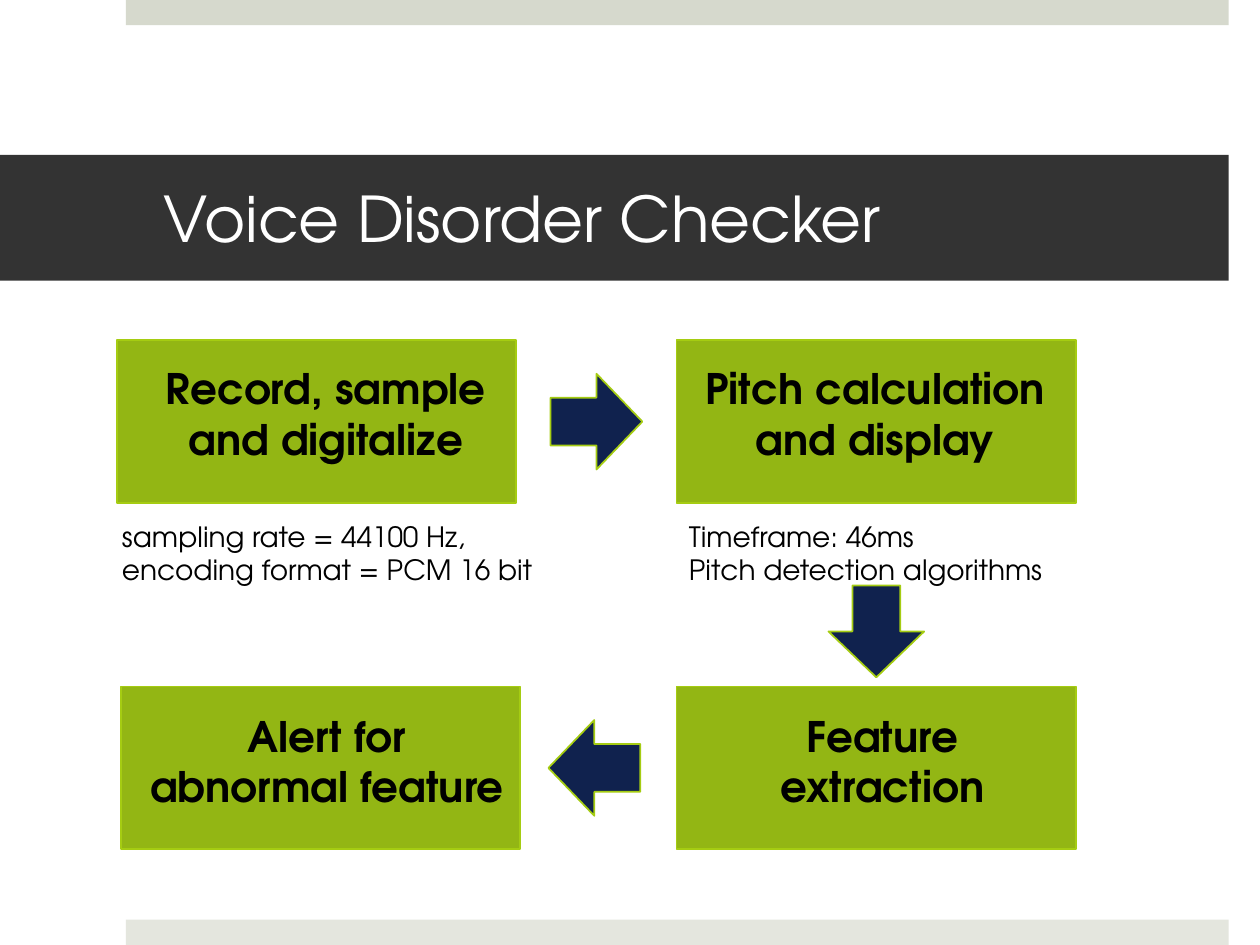
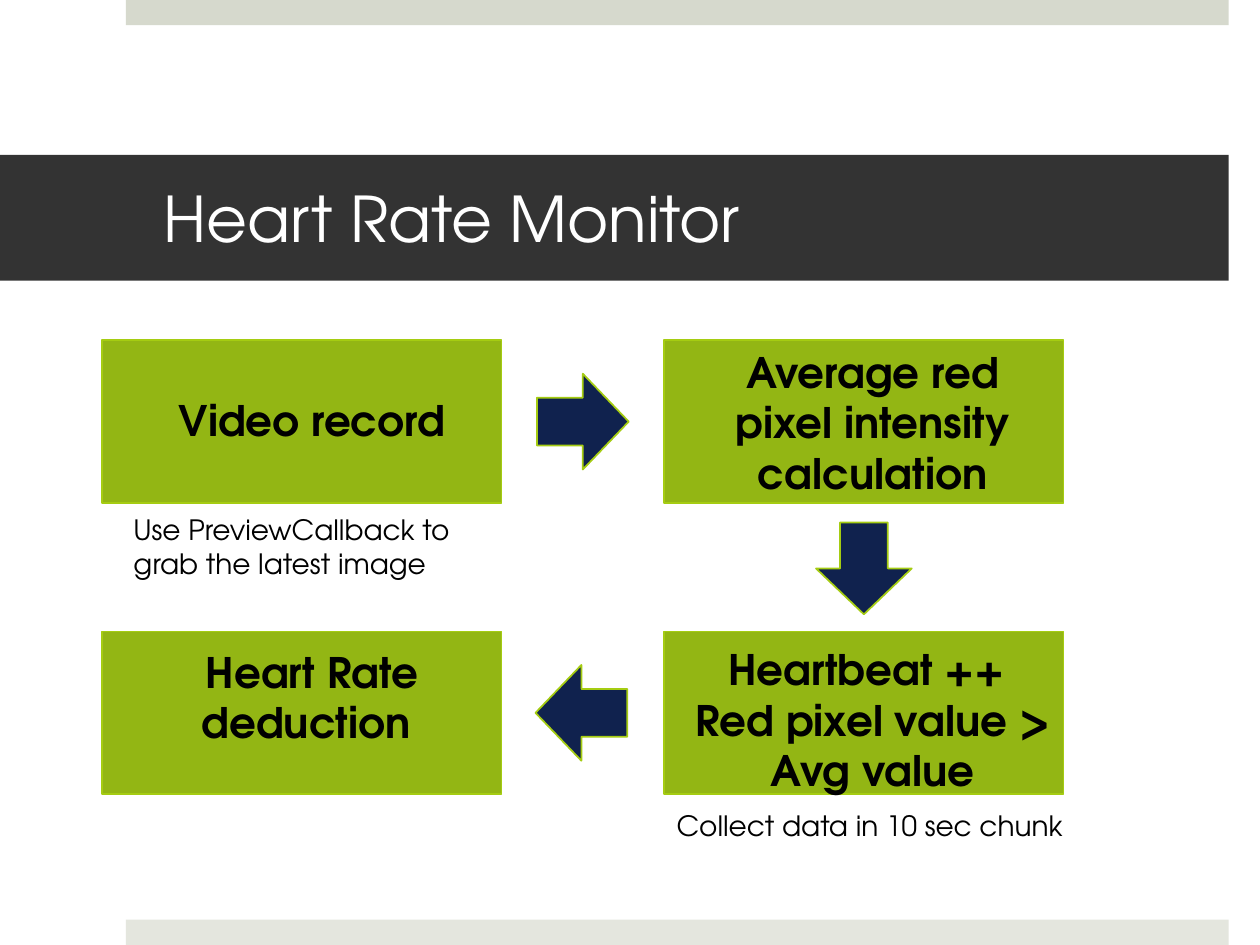
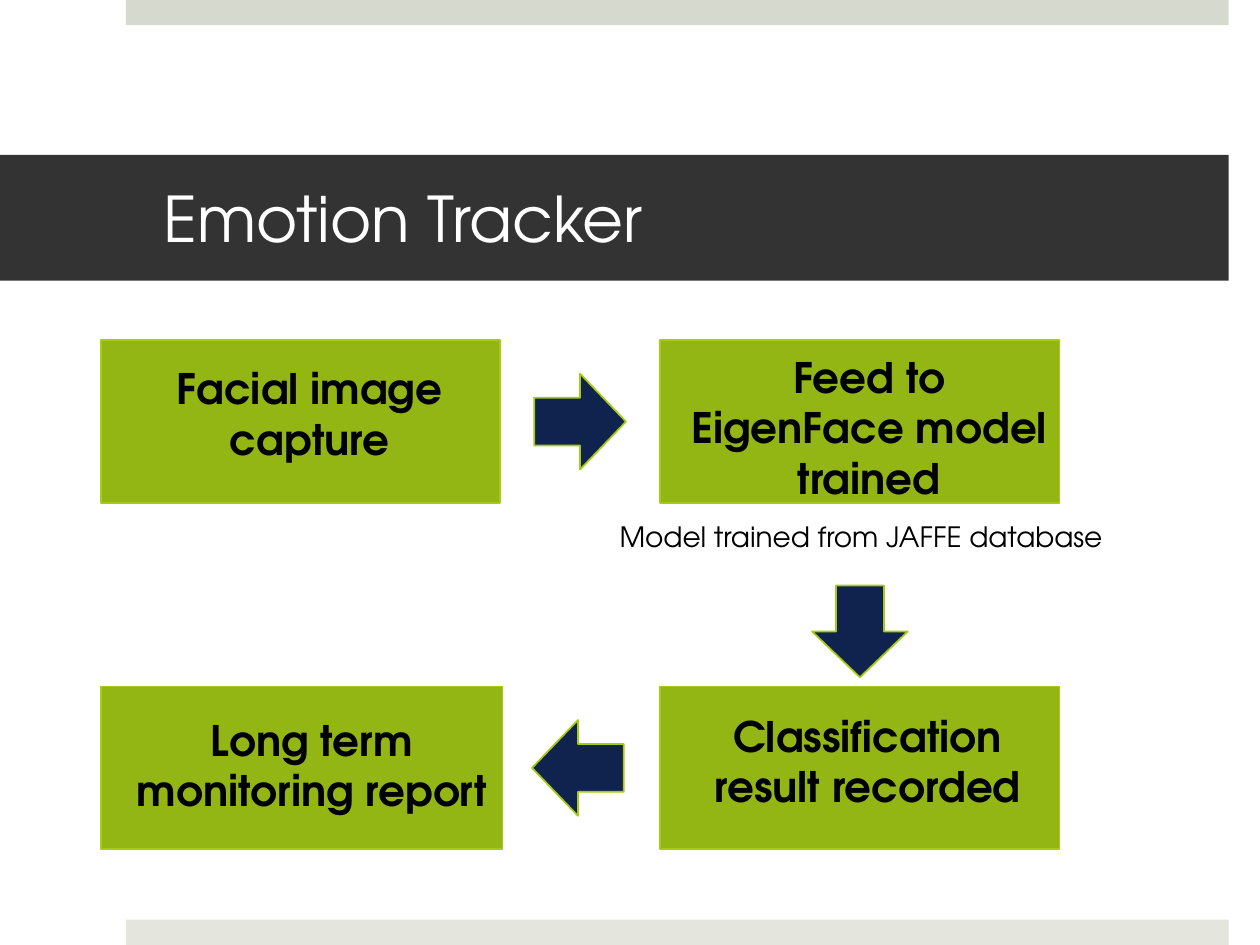
from dataclasses import dataclass

from pptx import Presentation
from pptx.dml.color import RGBColor
from pptx.enum.shapes import MSO_SHAPE
from pptx.enum.text import MSO_ANCHOR, MSO_AUTO_SIZE, PP_ALIGN
from pptx.util import Cm, Pt


@dataclass(frozen=True)
class Theme:
    font: str = "TeX Gyre Adventor"
    title_size: int = 36
    step_size: int = 24
    note_size: int = 16
    text: str = "000000"
    title_text: str = "FFFFFF"
    title_band: str = "333333"
    top_band: str = "D6D9CD"
    bottom_band: str = "E4E6DE"
    step: str = "93B614"
    outline: str = "A5CC12"
    arrow: str = "10224E"


# Shared measures, in centimetres
STEP_WIDTH, STEP_HEIGHT = 8.05, 3.28
ARROW_WIDTH, ARROW_HEIGHT = 1.85, 1.93
TOP_ROW = 6.86
LABEL_WIDTH = 7.7


@dataclass(frozen=True)
class Label:
    left: float
    top: float
    paragraphs: tuple
    lines: int = 2
    width: float = LABEL_WIDTH


@dataclass(frozen=True)
class Flow:
    title: str
    columns: tuple  # left edges of the two step columns
    bottom_row: float
    down_center: float  # vertical centre of the downward arrow
    back_center: float  # horizontal centre of the arrow pointing back
    labels: tuple
    notes: tuple
    last_left: float
    last_width: float = STEP_WIDTH


class Deck:
    def __init__(self, theme):
        self.theme = theme
        self.presentation = Presentation()
        self.presentation.slide_width = Cm(25.4)
        self.presentation.slide_height = Cm(19.05)
        self.layout = self.presentation.slide_layouts[5]
        self.slide = None

    def new_slide(self, title):
        first = self.slide is None
        self.slide = self.presentation.slides.add_slide(self.layout)
        if first:
            self.layout_bands()
        self.title(title)

    def layout_bands(self):
        """Place the edge bands on the layout, so every slide shows them."""
        tree = self.layout.element.cSld.spTree
        for top, color in ((0, self.theme.top_band), (18.54, self.theme.bottom_band)):
            band = self.shape(MSO_SHAPE.RECTANGLE, 2.54, top, 22.23, 0.51, color)
            tree.insert(2, band.element)

    def title(self, text):
        title = self.slide.shapes.title
        title.left, title.top = Cm(0), Cm(3.12)
        title.width, title.height = Cm(24.77), Cm(2.54)
        title.fill.solid()
        title.fill.fore_color.rgb = RGBColor.from_string(self.theme.title_band)
        frame = title.text_frame
        frame.auto_size = MSO_AUTO_SIZE.NONE
        frame.word_wrap = True
        frame.vertical_anchor = MSO_ANCHOR.MIDDLE
        frame.margin_left, frame.margin_right = Cm(3.3), Cm(0.76)
        frame.margin_top = frame.margin_bottom = Cm(0.13)
        self.add_paragraphs(frame, (text,), self.theme.title_size,
                            self.theme.title_text, PP_ALIGN.LEFT)

    def add_paragraphs(self, frame, paragraphs, size, color, align, bold=False):
        for number, text in enumerate(paragraphs):
            paragraph = frame.add_paragraph() if number else frame.paragraphs[0]
            paragraph.alignment = align
            run = paragraph.add_run()
            run.text = text
            run.font.name = self.theme.font
            run.font.size = Pt(size)
            run.font.bold = bold
            run.font.color.rgb = RGBColor.from_string(color)

    def shape(self, kind, left, top, width, height, color, outline=None):
        shape = self.slide.shapes.add_shape(
            kind, Cm(left), Cm(top), Cm(width), Cm(height))
        shape.shadow.inherit = False
        shape.fill.solid()
        shape.fill.fore_color.rgb = RGBColor.from_string(color)
        if outline:
            shape.line.color.rgb = RGBColor.from_string(outline)
            shape.line.width = Pt(1)
        else:
            shape.line.fill.background()
        return shape

    def step(self, left, top, width=STEP_WIDTH):
        self.shape(MSO_SHAPE.RECTANGLE, left, top, width, STEP_HEIGHT,
                   self.theme.step, self.theme.outline)

    def arrow(self, center_x, center_y, rotation=0):
        arrow = self.shape(
            MSO_SHAPE.RIGHT_ARROW, center_x - ARROW_WIDTH / 2,
            center_y - ARROW_HEIGHT / 2, ARROW_WIDTH, ARROW_HEIGHT,
            self.theme.arrow, self.theme.outline)
        arrow.rotation = rotation

    def text(self, label, size, line_height, align, bold):
        height = 0.25 + line_height * label.lines
        box = self.slide.shapes.add_textbox(
            Cm(label.left), Cm(label.top), Cm(label.width), Cm(height))
        frame = box.text_frame
        frame.word_wrap = True
        frame.auto_size = MSO_AUTO_SIZE.SHAPE_TO_FIT_TEXT
        self.add_paragraphs(frame, label.paragraphs, size, self.theme.text, align, bold)

    def step_label(self, label):
        self.text(label, self.theme.step_size, 1.03, PP_ALIGN.CENTER, True)

    def note(self, label):
        self.text(label, self.theme.note_size, 0.69, PP_ALIGN.LEFT, False)

    def flow(self, flow):
        self.new_slide(flow.title)
        left, right = flow.columns
        # Steps, clockwise from the top left
        self.step(left, TOP_ROW)
        self.step(right, TOP_ROW)
        self.step(right, flow.bottom_row)
        self.step(flow.last_left, flow.bottom_row, flow.last_width)
        for label in flow.labels:
            self.step_label(label)
        for note in flow.notes:
            self.note(note)
        # Arrows between the steps
        middle = STEP_HEIGHT / 2
        self.arrow((left + STEP_WIDTH + right) / 2, TOP_ROW + middle)
        self.arrow(right + STEP_WIDTH / 2, flow.down_center, 90)
        self.arrow(flow.back_center, flow.bottom_row + middle, 180)


FLOWS = (
    Flow(
        "Voice Disorder Checker", (2.36, 13.64), 13.84, 12.73, 11.98,
        labels=(
            Label(2.72, 7.19, ("Record, sample and digitalize",)),
            Label(13.64, 7.19, ("Pitch calculation and display",), width=8),
            Label(13.94, 14.2, ("Feature extraction",)),
            Label(2.74, 14.2, ("Alert for abnormal feature",)),
        ),
        notes=(
            Label(2.21, 10.34,
                  ("sampling rate = 44100 Hz, encoding format = PCM 16 bit",),
                  width=8.86),
            Label(13.64, 10.34,
                  ("Timeframe: 46ms", "Pitch detection algorithms"), width=8.33),
        ),
        last_left=2.44,
    ),
    Flow(
        "Heart Rate Monitor", (2.06, 13.39), 12.73, 11.46, 11.72,
        labels=(
            Label(2.44, 7.82, ("Video record",), lines=1),
            Label(13.74, 6.86, ("Average red pixel intensity calculation",), lines=3),
            Label(13.74, 12.85,
                  ("Heartbeat ++ ", "Red pixel value > Avg value"), lines=3),
            Label(2.44, 12.9, ("Heart Rate deduction ",)),
        ),
        notes=(
            Label(2.44, 10.21, ("Use PreviewCallback to grab the latest image",)),
            Label(13.39, 16.18, ("Collect data in 10 sec chunk",),
                  lines=1, width=8.61),
        ),
        last_left=2.06,
    ),
    Flow(
        "Emotion Tracker", (2.03, 13.31), 13.84, 12.73, 11.65,
        labels=(
            Label(2.39, 7.19, ("Facial image capture",)),
            Label(13.67, 6.96, ("Feed to EigenFace model trained",), lines=3),
            Label(13.64, 14.2, ("Classification result recorded",)),
            Label(2.03, 14.27, ("Long term monitoring report",), width=8.51),
        ),
        notes=(
            Label(12.24, 10.34, ("Model trained from JAFFE database",),
                  lines=1, width=11.07),
        ),
        last_left=2.03,
        last_width=8.1,
    ),
)


def main():
    deck = Deck(Theme())
    for flow in FLOWS:
        deck.flow(flow)
    deck.presentation.save("out.pptx")


if __name__ == "__main__":
    main()
